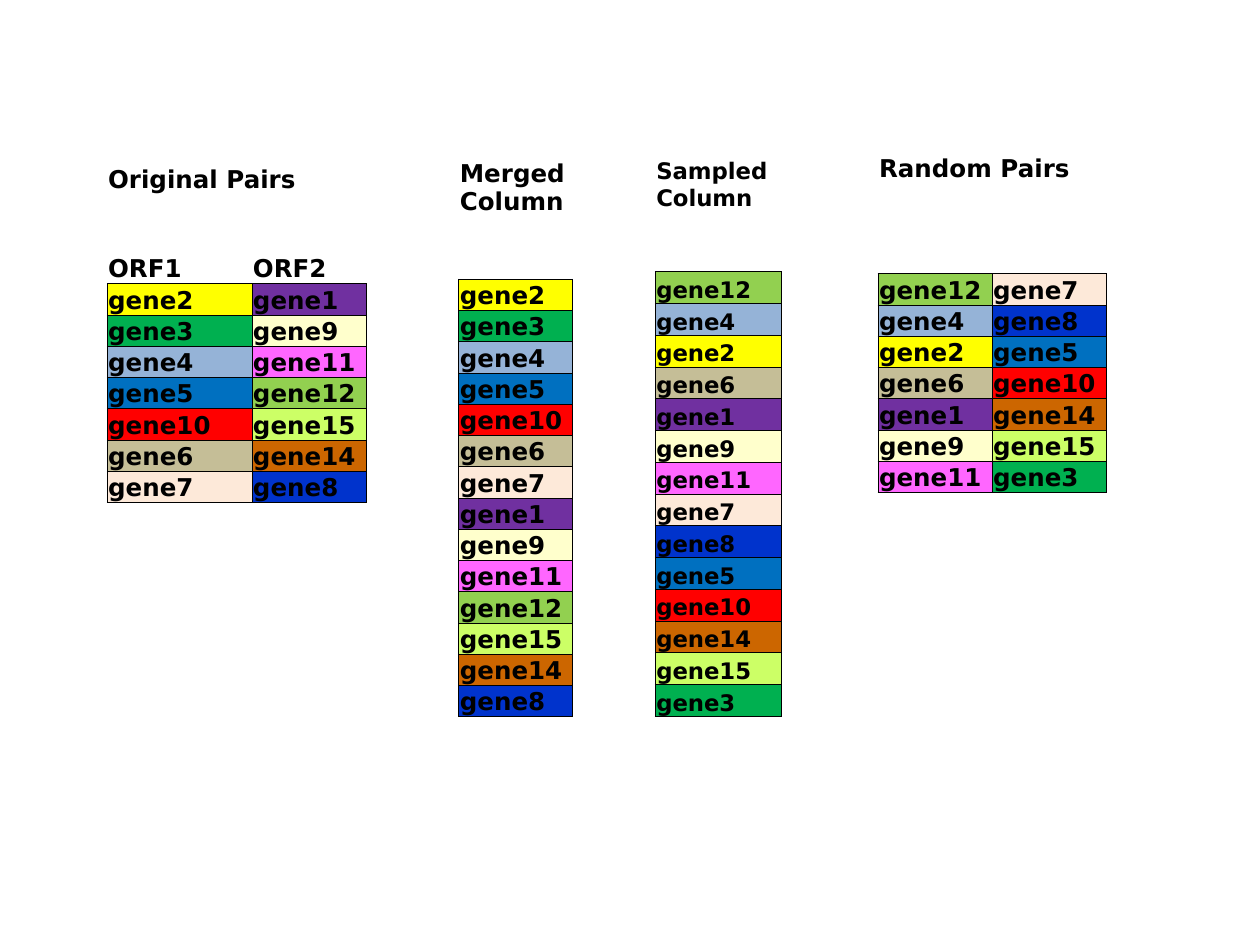
"""Build a slide showing how gene pairs are merged, sampled and paired at random."""
from lxml.etree import SubElement
from pptx import Presentation
from pptx.dml.color import RGBColor as RGB
from pptx.enum.text import MSO_ANCHOR as ANCHOR
from pptx.oxml.ns import qn
from pptx.util import Cm, Pt

FONT = "DejaVu Sans"
NO_STYLE = "{2D5ABB26-0587-4C30-8999-92F81FD0307C}"
COLORS = {
    "text": "000000", "border": "000000",
    "gene1": "7030A0", "gene2": "FFFF00", "gene3": "00B050", "gene4": "95B3D7",
    "gene5": "0070C0", "gene6": "C5BE97", "gene7": "FDE9D9", "gene8": "0033CC",
    "gene9": "FFFFCC", "gene10": "FF0000", "gene11": "FF66FF", "gene12": "92D050",
    "gene14": "CC6600", "gene15": "CCFF66",
}


def add_borders(cell):
    properties = cell._tc.get_or_add_tcPr()
    for side in ("a:lnL", "a:lnR", "a:lnT", "a:lnB"):
        line = SubElement(properties, qn(side), w=str(Pt(0.5)))
        fill = SubElement(line, qn("a:solidFill"))
        SubElement(fill, qn("a:srgbClr"), val=COLORS["border"])


def write_cell(cell, text, size):
    cell.vertical_anchor = ANCHOR.BOTTOM
    cell.margin_left = cell.margin_right = cell.margin_top = Cm(0.02)
    cell.margin_bottom = 0
    paragraph = cell.text_frame.paragraphs[0]
    if not text:
        SubElement(paragraph._p, qn("a:endParaRPr"), sz=str(size * 100))
        return
    run = paragraph.add_run()
    run.text = text
    run.font.name = FONT
    run.font.size = Pt(size)
    run.font.bold = True
    run.font.color.rgb = RGB.from_string(COLORS["text"])


orf1 = [f"gene{n}" for n in (2, 3, 4, 5, 10, 6, 7)]
orf2 = [f"gene{n}" for n in (1, 9, 11, 12, 15, 14, 8)]
sampled = [f"gene{n}" for n in (12, 4, 2, 6, 1, 9, 11, 7, 8, 5, 10, 14, 15, 3)]
half = len(sampled) // 2

stages = [
    ("Original Pairs", 14, 2.16, 3.28, [2.92, 2.3], [0.63, 1.18, 0.63], 0.63,
     ["ORF1", "ORF2"], [orf1, orf2]),
    ("Merged Column", 14, 9.25, 3.18, [2.28], [1.19, 0.63, 0.63], 0.63,
     [""], [orf1 + orf2]),
    ("Sampled Column", 13, 13.21, 1.78, [2.54], [2.48, 0.63, 0.59], 0.64,
     [""], [sampled]),
    ("Random Pairs", 14, 17.7, 3.07, [2.3, 2.3], [0.63, 1.19, 0.63], 0.63,
     ["", ""], [sampled[:half], sampled[half:]]),
]

deck = Presentation()
deck.slide_width, deck.slide_height = Cm(25.4), Cm(19.05)
slide = deck.slides.add_slide(deck.slide_layouts[6])

for title, size, left, top, widths, head_heights, gene_height, labels, genes in stages:
    heights = head_heights + [gene_height] * len(genes[0])
    frame = slide.shapes.add_table(
        len(heights), len(widths), Cm(left), Cm(top), Cm(sum(widths)), Cm(sum(heights)))
    table = frame.table
    table._tbl.tblPr.find(qn("a:tableStyleId")).text = NO_STYLE
    table.first_row = table.horz_banding = False
    for row, height in zip(table.rows, heights):
        row.height = Cm(height)
    if len(widths) > 1:
        table.cell(0, 0).merge(table.cell(0, len(widths) - 1))
    for c, (width, label, names) in enumerate(zip(widths, labels, genes)):
        table.columns[c].width = Cm(width)
        for r, text in enumerate(["" if c else title, "", label] + names):
            cell = table.cell(r, c)
            write_cell(cell, text, size)
            if text in COLORS:
                add_borders(cell)
                cell.fill.solid()
                cell.fill.fore_color.rgb = RGB.from_string(COLORS[text])
            else:
                cell.fill.background()

deck.save("out.pptx")
